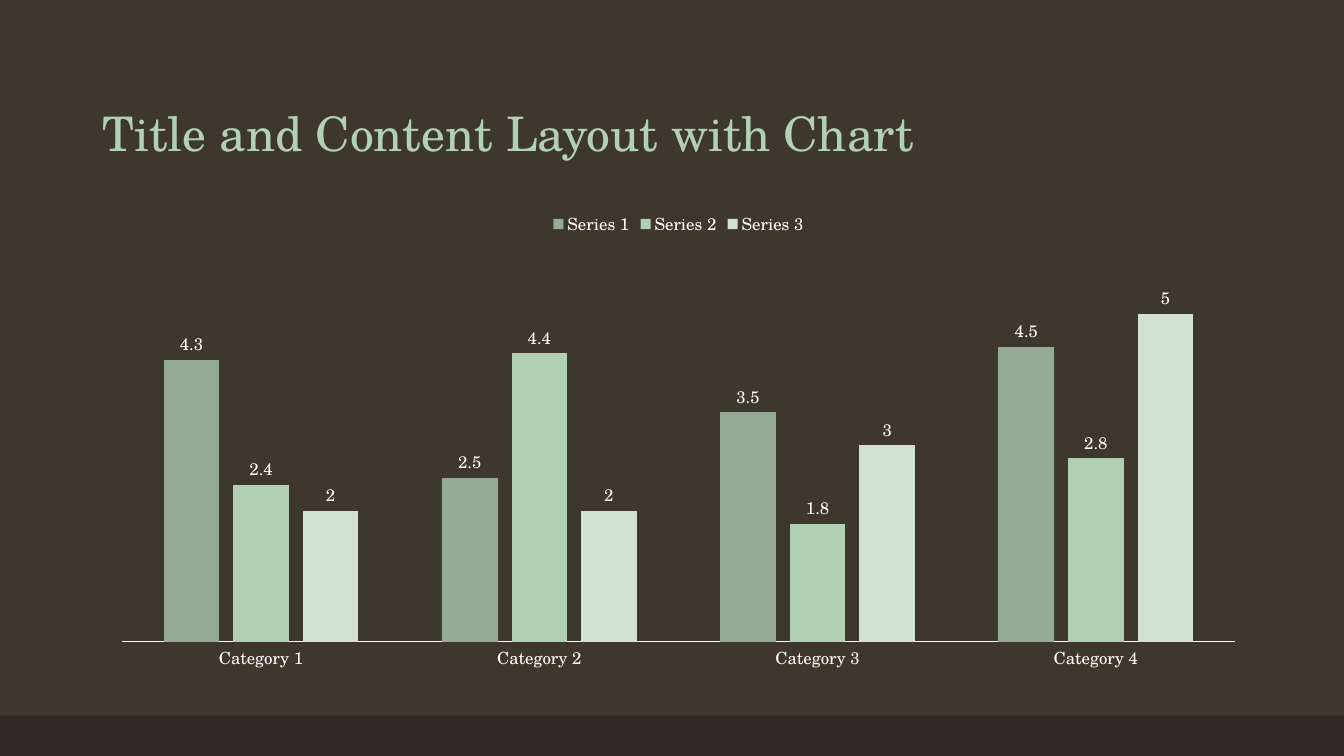
"""Build a title slide with a clustered column chart."""
from dataclasses import dataclass

from lxml import etree
from pptx import Presentation
from pptx import util as u
from pptx.chart import data as cd
from pptx.dml.color import RGBColor
from pptx.enum import chart as ce, shapes, text
from pptx.oxml import ns


@dataclass(frozen=True)
class Theme:
    font: str = "TeX Gyre Schola"
    background: str = "3D372E"
    band: str = "2E2923"
    title: str = "B2D0B4"
    chart_text: str = "FFFFFF"
    series: tuple = ("94AC95", "B2D0B4", "D1E2D2")
    title_size: int = 34
    chart_size: int = 12


theme = Theme()


def style_font(font, size, color):
    font.name = theme.font
    font.size = u.Pt(size)
    font.color.rgb = RGBColor.from_string(color)


def add_text(s, content, *, left, top, width, height, size, color, spacing):
    box = s.shapes.add_textbox(*map(u.Inches, (left, top, width, height)))
    tf = box.text_frame
    tf.word_wrap = True
    tf.vertical_anchor = text.MSO_ANCHOR.BOTTOM
    p = tf.paragraphs[0]
    p.line_spacing = spacing
    r = p.add_run()
    r.text = content
    style_font(r.font, size, color)


prs = Presentation()
prs.slide_width, prs.slide_height = u.Inches(13.33), u.Inches(7.5)
s = prs.slides.add_slide(prs.slide_layouts[6])
s.background.fill.solid()
s.background.fill.fore_color.rgb = RGBColor.from_string(theme.background)

band = s.shapes.add_shape(
    shapes.MSO_SHAPE.RECTANGLE, 0, u.Inches(7.1), prs.slide_width, u.Inches(0.4))
band.shadow.inherit = False
band.fill.solid()
band.fill.fore_color.rgb = RGBColor.from_string(theme.band)
band.line.fill.background()

add_text(s, "Title and Content Layout with Chart", left=0.92, top=0.4, width=11.5,
         height=1.25, size=theme.title_size, color=theme.title, spacing=0.9)

data = cd.CategoryChartData()
data.categories = [f"Category {n}" for n in range(1, 5)]
data.add_series("Series 1", (4.3, 2.5, 3.5, 4.5))
data.add_series("Series 2", (2.4, 4.4, 1.8, 2.8))
data.add_series("Series 3", (2, 2, 3, 5))
chart = s.shapes.add_chart(
    ce.XL_CHART_TYPE.COLUMN_CLUSTERED, u.Inches(0.98), u.Inches(1.99),
    u.Inches(11.5), u.Inches(4.76), data).chart
chart.has_title = False
style_font(chart.font, theme.chart_size, theme.chart_text)

chart.has_legend = True
chart.legend.position = ce.XL_LEGEND_POSITION.TOP
chart.legend.include_in_layout = False
style_font(chart.legend.font, theme.chart_size, theme.chart_text)

values = chart.value_axis
values.minimum_scale, values.maximum_scale = 0, 6
values.has_major_gridlines = False
values.visible = False

categories = chart.category_axis
categories.major_tick_mark = ce.XL_TICK_MARK.NONE
categories.format.line.color.rgb = RGBColor.from_string(theme.chart_text)
categories.format.line.width = u.Pt(0.75)
style_font(categories.tick_labels.font, theme.chart_size, theme.chart_text)

plot = chart.plots[0]
plot.gap_width = 150
plot.overlap = -25
plot.vary_by_categories = False
for series, color in zip(plot.series, theme.series):
    series.format.fill.solid()
    series.format.fill.fore_color.rgb = RGBColor.from_string(color)
    labels = series.data_labels
    labels.show_value = True
    labels.position = ce.XL_LABEL_POSITION.OUTSIDE_END
    style_font(labels.font, theme.chart_size, theme.chart_text)

plot_area = chart._chartSpace.find(".//" + ns.qn("c:plotArea"))
for old_layout in plot_area.findall(ns.qn("c:layout")):
    plot_area.remove(old_layout)
layout = etree.Element(ns.qn("c:layout"))
plot_area.insert(0, layout)
manual = etree.SubElement(layout, ns.qn("c:manualLayout"))
for tag, val in (("layoutTarget", "inner"), ("xMode", "edge"), ("yMode", "edge"),
                 ("x", "0.02"), ("y", "0.1"), ("w", "0.96"), ("h", "0.82")):
    etree.SubElement(manual, ns.qn(f"c:{tag}"), val=val)

prs.save("out.pptx")
